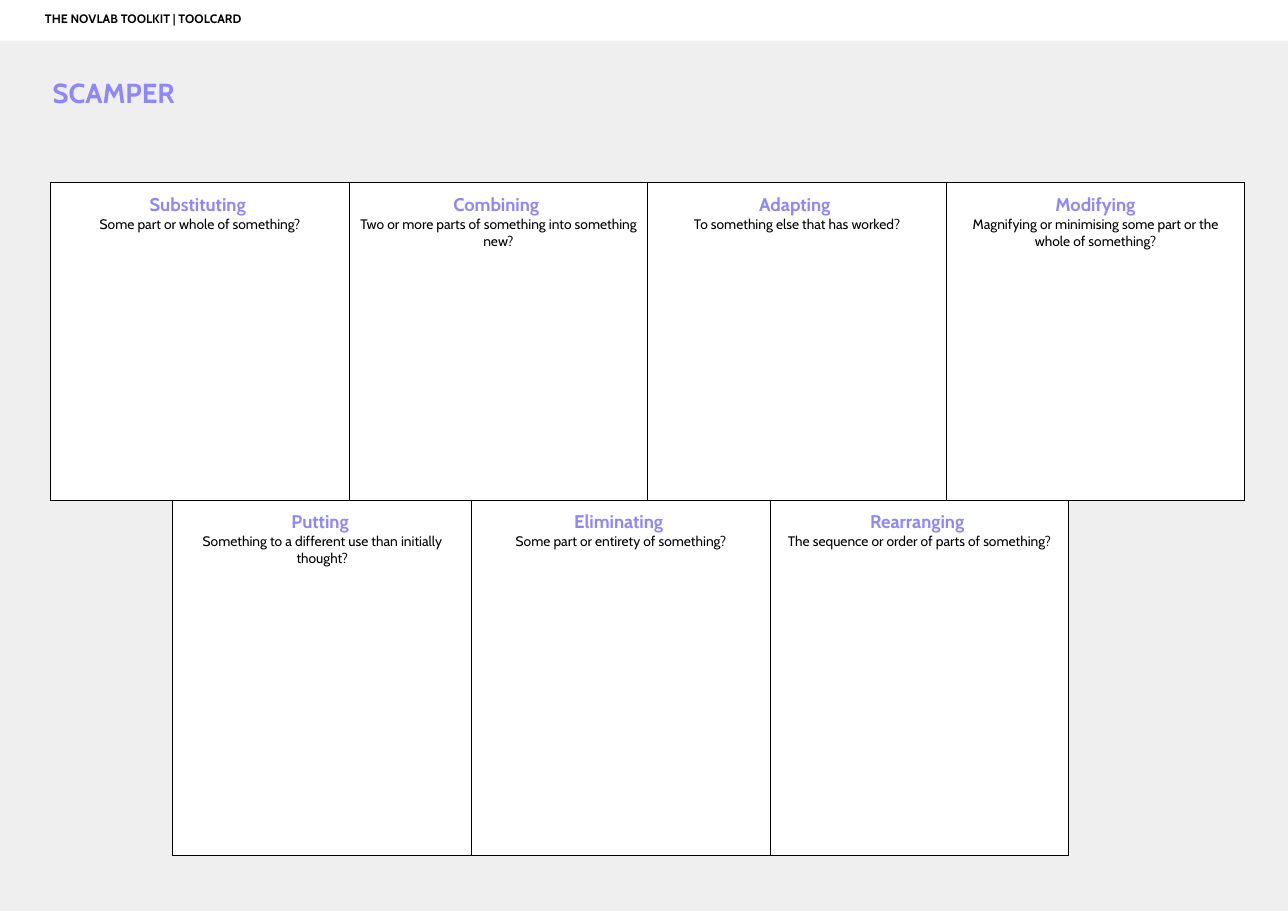
from lxml import etree
from pptx import Presentation
from pptx.dml.color import RGBColor
from pptx.enum.shapes import MSO_SHAPE
from pptx.enum.text import MSO_ANCHOR, PP_ALIGN
from pptx.oxml.ns import qn
from pptx.util import Inches, Pt

RECT = MSO_SHAPE.RECTANGLE
TOP = MSO_ANCHOR.TOP
LEFT, CENTER = PP_ALIGN.LEFT, PP_ALIGN.CENTER

GREY = RGBColor(0xEF, 0xEF, 0xEF)
WHITE = RGBColor(0xFF, 0xFF, 0xFF)
BLACK = RGBColor(0, 0, 0)
VIOLET = RGBColor(0x8D, 0x86, 0xFC)

TITLE = {"size": Pt(18), "bold": True}
HEAD = {"size": Pt(12), "bold": True}
BODY = {"size": Pt(9), "bold": False}
LABEL = {"size": Pt(8), "bold": True}
PAD = {f"margin_{side}": Inches(0.1) for side in ("left", "right", "top", "bottom")}
FRAME = {**PAD, "word_wrap": True, "vertical_anchor": TOP}
PLAIN = {"first_row": False, "horz_banding": False}

COL, EDGE, INSET = 23.18, 3.93, 13.43
FIRST, UPPER, LOWER = 20.07, 34.82, 39.06

UPPER_CARDS = [
    ("Substituting ", "Some part or whole of something?"),
    ("Combining ", "Two or more parts of something into something new?"),
    ("Adapting ", "To something else that has worked?"),
    ("Modifying", "Magnifying or minimising some part or the whole of something?"),
]
LOWER_CARDS = [
    ("Putting ", "Something to a different use than initially thought?"),
    ("Eliminating ", "Some part or entirety of something?"),
    ("Rearranging ", "The sequence or order of parts of something?"),
]


def apply(item, look):
    for name, value in look.items():
        setattr(item, name, value)


class Board:
    font = "Cabin"

    def __init__(self):
        self.deck = Presentation()
        apply(self.deck, {"slide_width": Inches(11.69), "slide_height": Inches(8.27)})
        self.slide = self.deck.slides.add_slide(self.deck.slide_layouts[6])

    def area(self, x, y, w, h):
        wide, high = self.deck.slide_width, self.deck.slide_height
        return [round(part * size / 100) for part, size in zip((x, y, w, h), (wide, high) * 2)]

    def phrase(self, para, text, look, color, align=LEFT, indent=0):
        para.alignment = align
        if indent:
            props = para._p.get_or_add_pPr()
            props.set("marL", str(Inches(indent)))
            props.set("indent", "0")
        run = para.add_run()
        run.text = text
        apply(run.font, {"name": self.font, **look})
        run.font.color.rgb = color

    def rect(self, spot, color):
        shape = self.slide.shapes.add_shape(RECT, *self.area(*spot))
        shape.shadow.inherit = False
        shape.fill.solid()
        shape.fill.fore_color.rgb = color
        shape.line.fill.background()
        return shape

    def text(self, spot):
        return self.slide.shapes.add_textbox(*self.area(*spot))

    def label(self, shape, text, look, color, indent):
        apply(shape.text_frame, FRAME)
        self.phrase(shape.text_frame.paragraphs[0], text, look, color, indent=indent)

    def border(self, cell):
        props = cell._tc.get_or_add_tcPr()
        for side in ("lnL", "lnR", "lnT", "lnB"):
            line = etree.SubElement(props, qn(f"a:{side}"), w=str(Pt(0.75)))
            solid = etree.SubElement(line, qn("a:solidFill"))
            etree.SubElement(solid, qn("a:srgbClr"), val=str(BLACK))

    def table(self, x, y, h, cards):
        spot = self.area(x, y, COL * len(cards), h)
        grid = self.slide.shapes.add_table(1, len(cards), *spot).table
        apply(grid, PLAIN)
        for cell, (head, body) in zip(grid.rows[0].cells, cards):
            apply(cell, {**PAD, "vertical_anchor": TOP})
            self.border(cell)
            cell.fill.solid()
            cell.fill.fore_color.rgb = WHITE
            frame = cell.text_frame
            self.phrase(frame.paragraphs[0], head, HEAD, VIOLET, CENTER)
            self.phrase(frame.add_paragraph(), body, BODY, BLACK, CENTER)


def main():
    board = Board()
    board.rect((0, 0, 100, 100), GREY)
    title = board.text((0, 7.13, 56.8, 6.17))
    board.label(title, "SCAMPER", TITLE, VIOLET, 0.38)
    board.table(EDGE, FIRST, UPPER, UPPER_CARDS)
    board.table(INSET, FIRST + UPPER, LOWER, LOWER_CARDS)
    strip = board.rect((0, 0, 100, 4.47), WHITE)
    board.label(strip, "THE NOVLAB TOOLKIT | TOOLCARD", LABEL, BLACK, 0.31)
    board.deck.save("out.pptx")


if __name__ == "__main__":
    main()
